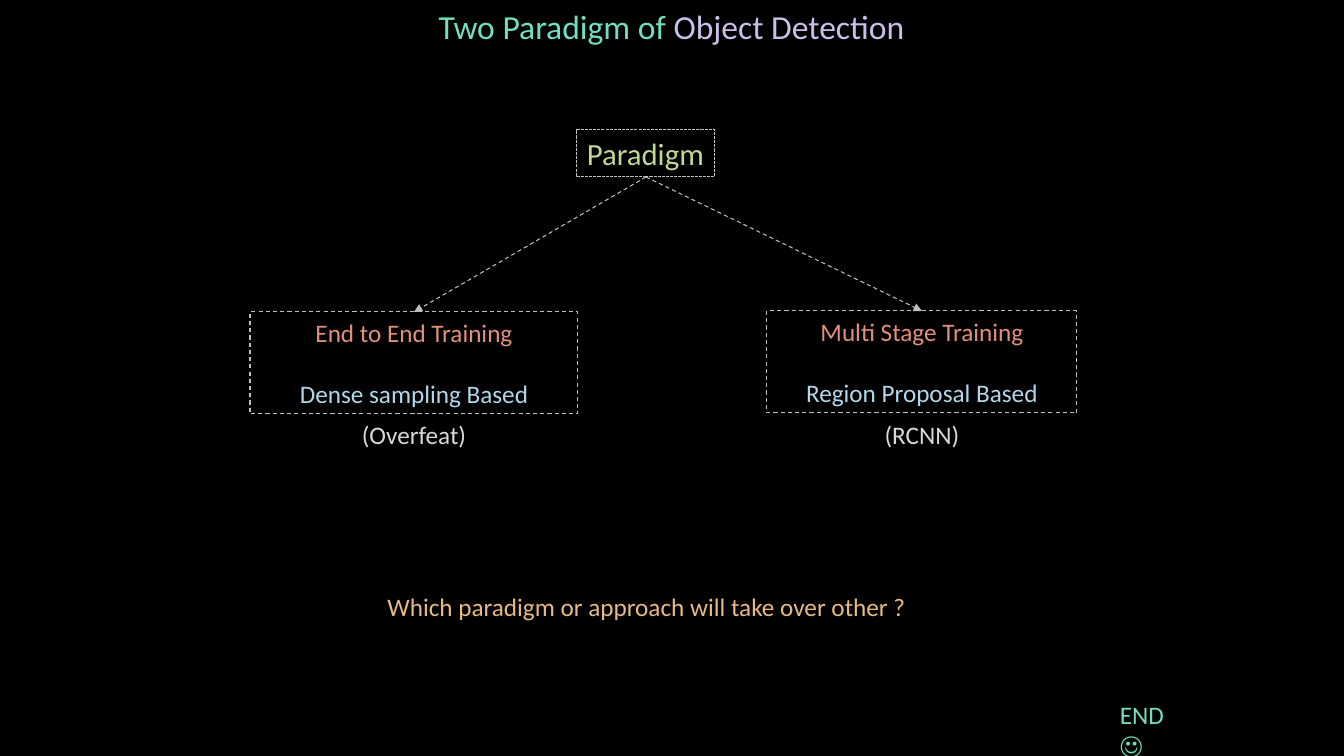
"""Builds the slide on two paradigms of object detection."""
from lxml import etree
from pptx import Presentation, util as u
from pptx.dml.color import RGBColor
from pptx.enum import dml, shapes, text
from pptx.oxml.ns import qn

BLACK = RGBColor(0x00, 0x00, 0x00)
GREY = RGBColor(0xBF, 0xBF, 0xBF)
PALE_GREY = RGBColor(0xD9, 0xD9, 0xD9)
MINT = RGBColor(0x70, 0xDE, 0xC1)
LILAC = RGBColor(0xCB, 0xBF, 0xE8)
LIME = RGBColor(0xC1, 0xD8, 0x92)
CORAL = RGBColor(0xE2, 0x8F, 0x7D)
SKY = RGBColor(0xB1, 0xD7, 0xEB)
AMBER = RGBColor(0xE6, 0xBA, 0x82)

FONT = "Calibri"
SLIDE_SIZE = (1344, 756)
EMU_PER_PX = 914400 / 100.8
LABEL_SIZE = (196, 40)
LINE_GAP = 22
TOP_SITE, BOTTOM_SITE = 0, 2

TITLE = [[("Two Paradigm of ", MINT), ("Object Detection", LILAC)]]
ROOT = [[("Paradigm", LIME)]]
BRANCHES = [
    ((250, 312, 328, 102), "End to End Training", "Dense sampling Based", "(Overfeat)"),
    ((767, 311, 310, 102), "Multi Stage Training", "Region Proposal Based", "(RCNN)"),
]
QUESTION = [[("Which paradigm or approach will take over other ?", AMBER)]]
ENDING = [[("END ☺", MINT)]]


def px(length):
    """Turn a length in px into EMU."""
    return u.Emu(round(length * EMU_PER_PX))


def write(shape, lines, size, centred=True, wrap=True):
    """Fill a shape with lines, each a list of (words, colour) runs."""
    frame = shape.text_frame
    frame.word_wrap = wrap
    frame.vertical_anchor = text.MSO_ANCHOR.TOP
    for index, line in enumerate(lines):
        para = frame.add_paragraph() if index else frame.paragraphs[0]
        para.alignment = text.PP_ALIGN.CENTER if centred else text.PP_ALIGN.LEFT
        if index:
            para.space_before = u.Pt(LINE_GAP)
        for words, colour in line:
            span = para.add_run()
            span.text = words
            span.font.name = FONT
            span.font.size = u.Pt(size)
            span.font.color.rgb = colour


def add_label(page, place, lines, size=18, **layout):
    """Add a plain text box."""
    write(page.shapes.add_textbox(*map(px, place)), lines, size, **layout)


def style_line(line, dash):
    """Give an outline or connector the thin grey dashed look."""
    line.color.rgb = GREY
    line.width = u.Pt(0.75)
    line.dash_style = dash


def add_box(page, place, lines, size, dash, **layout):
    """Add an outlined box without fill."""
    box = page.shapes.add_shape(shapes.MSO_SHAPE.RECTANGLE, *map(px, place))
    box.shadow.inherit = False
    box.fill.background()
    style_line(box.line, dash)
    write(box, lines, size, **layout)
    return box


def add_arrow(page, parent, child):
    """Join the bottom of one box to the top of another."""
    arrow = page.shapes.add_connector(shapes.MSO_CONNECTOR.STRAIGHT, 0, 0, 0, 0)
    arrow.begin_connect(parent, BOTTOM_SITE)
    arrow.end_connect(child, TOP_SITE)
    style_line(arrow.line, dml.MSO_LINE.DASH)
    etree.SubElement(arrow.line._get_or_add_ln(), qn("a:tailEnd"), type="triangle")
    etree.SubElement(arrow._element.spPr, qn("a:effectLst"))


def main():
    """Lay out the slide and save it."""
    deck = Presentation()
    deck.slide_width, deck.slide_height = map(px, SLIDE_SIZE)
    page = deck.slides.add_slide(deck.slide_layouts[6])
    page.background.fill.solid()
    page.background.fill.fore_color.rgb = BLACK

    add_label(page, (426, 1, 491, 50), TITLE, 24, wrap=False)
    root = add_box(page, (577, 130, 138, 47), ROOT, 22,
                   dml.MSO_LINE.SQUARE_DOT, centred=False, wrap=False)
    for place, training, basis, example in BRANCHES:
        lines = [[(training, CORAL)], [(basis, SKY)]]
        branch = add_box(page, place, lines, 18, dml.MSO_LINE.DASH)
        add_arrow(page, root, branch)
        left, top, width, height = place
        label_left = left + (width - LABEL_SIZE[0]) // 2
        add_label(page, (label_left, 414, *LABEL_SIZE), [[(example, PALE_GREY)]])
    add_label(page, (193, 586, 907, 40), QUESTION)
    add_label(page, (1110, 694, 92, 40), ENDING, centred=False)
    deck.save("out.pptx")


if __name__ == "__main__":
    main()
